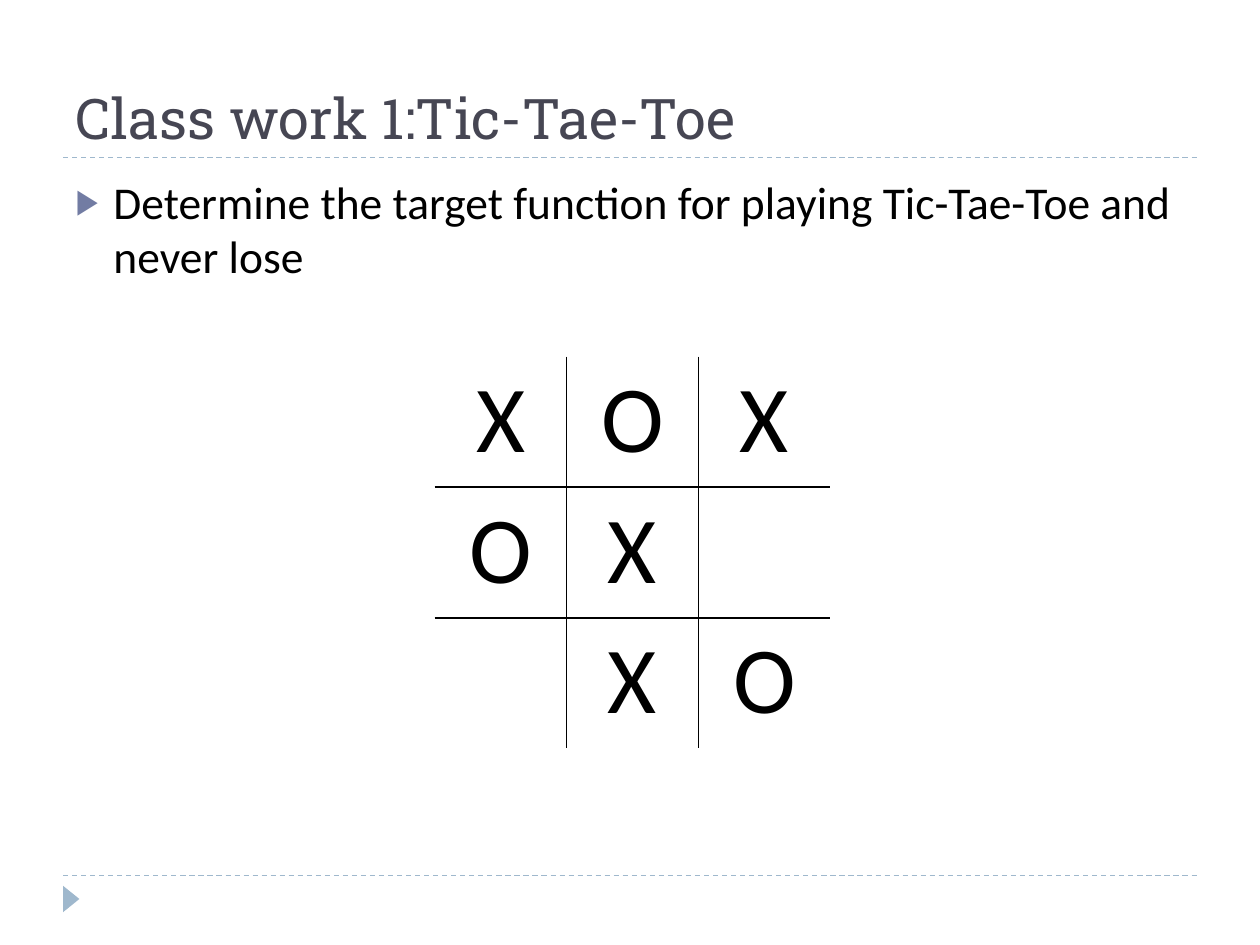
import pptx
import pptx.util
import pptx.dml.color
import pptx.enum.dml
import pptx.enum.shapes
import pptx.enum.text
import pptx.oxml
import pptx.oxml.ns

Inches = pptx.util.Inches
Pt = pptx.util.Pt
RGBColor = pptx.dml.color.RGBColor
ALIGN = pptx.enum.text.PP_ALIGN
ANCHOR = pptx.enum.text.MSO_ANCHOR

TITLE = "Class work 1:Tic-Tae-Toe"
TASK = "Determine the target function for playing Tic-Tae-Toe and never lose"
BOARD = ["XOX", "OX ", " XO"]
RULE_TOPS = (1.25, 6.95)

BLACK = RGBColor(0x00, 0x00, 0x00)
SLATE = RGBColor(0x46, 0x46, 0x53)
PALE_BLUE = RGBColor(0x9F, 0xB8, 0xCD)
BULLET_COLOR = RGBColor(0x72, 0x7C, 0xA3)
NAMESPACE = pptx.oxml.ns.nsdecls("a")


def write(frame, text, size, font="Calibri", color=BLACK, align=ALIGN.LEFT,
          anchor=ANCHOR.TOP):
    frame.word_wrap = True
    frame.vertical_anchor = anchor
    para = frame.paragraphs[0]
    para.alignment = align
    para.space_before = Pt(0)
    span = para.add_run()
    span.text = text
    span.font.size = Pt(size)
    span.font.name = font
    span.font.bold = False
    span.font.color.rgb = color
    return para


def place(shape, left, top, width, height):
    shape.left, shape.top = Inches(left), Inches(top)
    shape.width, shape.height = Inches(width), Inches(height)


def add_bullet(para):
    properties = para._p.get_or_add_pPr()
    properties.set("marL", str(Inches(0.3)))
    properties.set("indent", str(-Inches(0.3)))
    for tag in (f'<a:buClr {NAMESPACE}><a:srgbClr val="{BULLET_COLOR}"/></a:buClr>',
                f'<a:buSzPct {NAMESPACE} val="76000"/>',
                f'<a:buChar {NAMESPACE} char="▶"/>'):
        properties.append(pptx.oxml.parse_xml(tag))


def add_rule(page, top):
    rule = page.shapes.add_connector(pptx.enum.shapes.MSO_CONNECTOR.STRAIGHT,
                                     Inches(0.5), Inches(top), Inches(9.5), Inches(top))
    rule.line.color.rgb = PALE_BLUE
    rule.line.width = Pt(0.75)
    rule.line.dash_style = pptx.enum.dml.MSO_LINE.DASH
    rule._element.spPr.append(pptx.oxml.parse_xml(f"<a:effectLst {NAMESPACE}/>"))


def set_borders(cell, sides):
    properties = cell._tc.get_or_add_tcPr()
    for index, (side, drawn) in enumerate(sides.items()):
        paint = f'<a:solidFill><a:srgbClr val="{BLACK}"/></a:solidFill>' if drawn else "<a:noFill/>"
        border = f'<a:ln{side} {NAMESPACE} w="{Pt(1)}">{paint}</a:ln{side}>'
        properties.insert(index, pptx.oxml.parse_xml(border))


def add_board(page):
    last = len(BOARD) - 1
    table = page.shapes.add_table(3, 3, Inches(3.45), Inches(2.83),
                                  Inches(3.14), Inches(3.11)).table
    table.first_row = False
    table.horz_banding = False
    for row, marks in enumerate(BOARD):
        for column, mark in enumerate(marks):
            cell = table.cell(row, column)
            cell.fill.background()
            set_borders(cell, {"L": column > 0, "R": column < last,
                               "T": row > 0, "B": row < last})
            if mark.strip():
                write(cell.text_frame, mark, 54, align=ALIGN.CENTER)


def main():
    deck = pptx.Presentation()
    deck.slide_width, deck.slide_height = Inches(10), Inches(7.5)
    page = deck.slides.add_slide(deck.slide_layouts[1])
    title, body = page.placeholders

    place(title, 0.5, 0.17, 9, 1.08)
    write(title.text_frame, TITLE, 32, font="Roboto Slab", color=SLATE, anchor=ANCHOR.BOTTOM)
    place(body, 0.5, 1.33, 9, 5.4)
    add_bullet(write(body.text_frame, TASK, 26))

    for top in RULE_TOPS:
        add_rule(page, top)
    marker = page.shapes.add_shape(pptx.enum.shapes.MSO_SHAPE.ISOSCELES_TRIANGLE,
                                   Inches(0.46), Inches(7.07), Inches(0.21), Inches(0.13))
    marker.rotation = 90
    marker.shadow.inherit = False
    marker.fill.solid()
    marker.fill.fore_color.rgb = PALE_BLUE
    marker.line.fill.background()
    add_board(page)
    deck.save("out.pptx")


if __name__ == "__main__":
    main()
